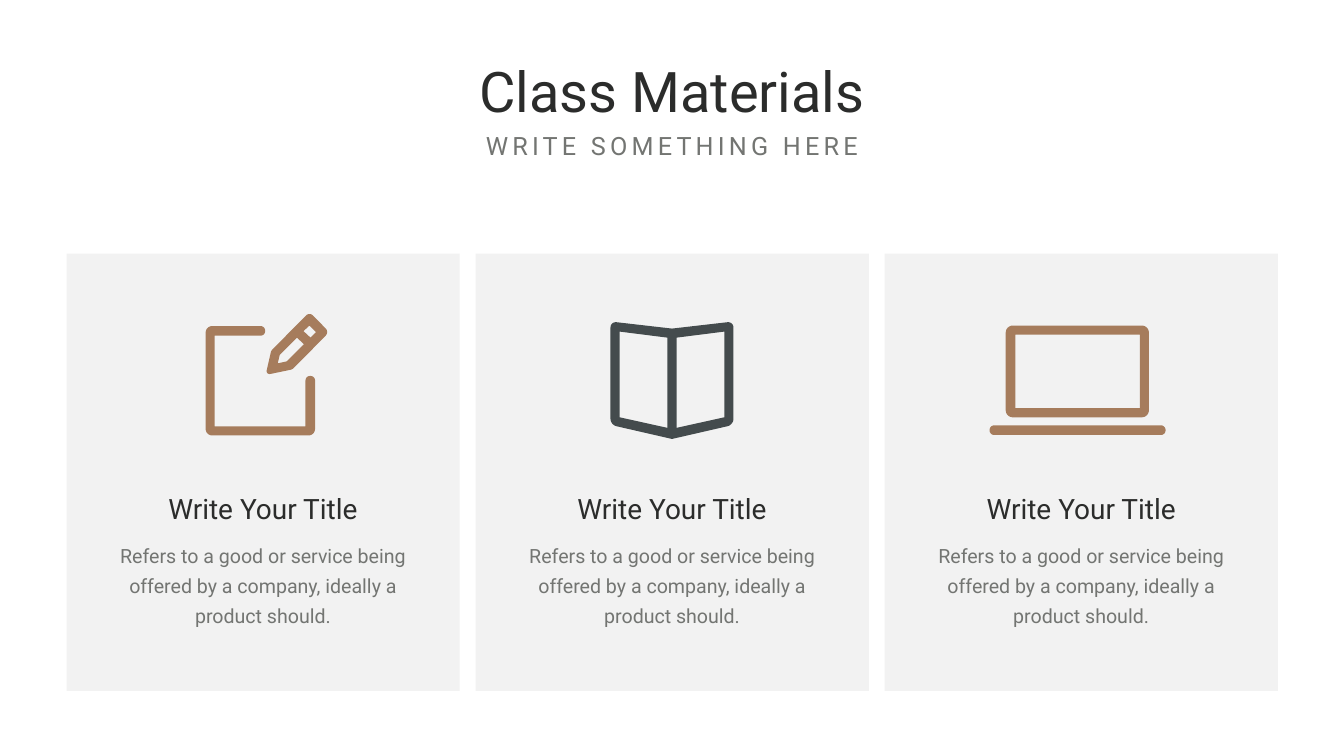
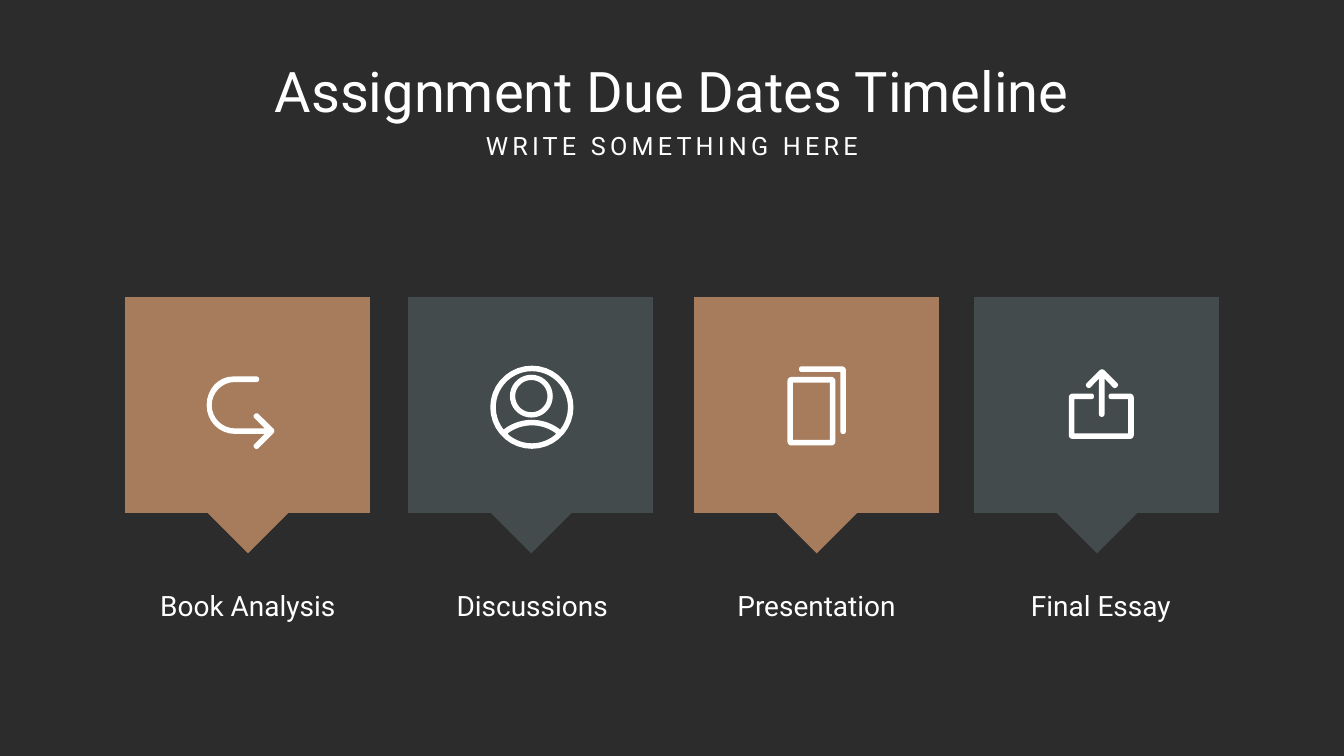
from math import cos, dist, radians, sin

from lxml.etree import SubElement
from pptx import Presentation
from pptx.dml.color import RGBColor
from pptx.enum.shapes import MSO_SHAPE
from pptx.enum.text import MSO_AUTO_SIZE, PP_ALIGN
from pptx.oxml.ns import qn
from pptx.util import Cm, Pt

FONT = "Roboto"
INK, GREY, WHITE = "2B2C2B", "737572", "FFFFFF"
BROWN, SLATE, PALE = "A67C5C", "444B4D", "808080"
WIDE, HIGH = 26.66, 15


def size(inch):
    """Turn inches on the slide into a Cm length."""
    return Cm(inch * 2.54)


def tint(code):
    """Turn a hex string into a colour."""
    return RGBColor.from_string(code)


def write(frame, text, points=40, color=INK, gap=0, lead=None, above=None):
    """Put one centred paragraph into a text frame."""
    para = frame.paragraphs[0]
    para.alignment = PP_ALIGN.CENTER
    if lead:
        para.line_spacing = Pt(lead)
    if above:
        para.space_before = Pt(above)
    run = para.add_run()
    run.text = text
    run.font.name, run.font.size = FONT, Pt(points)
    run.font.color.rgb = tint(color)
    if gap:
        run.font._element.set("spc", str(gap * 100))


def box(left, top, right, bottom, bend=0):
    """Give the corners of a box, each with its bend radius."""
    return [(left, top, bend), (right, top, bend),
            (right, bottom, bend), (left, bottom, bend)]


def arc(x, y, reach, start=0, end=360):
    """Give points along an arc, with angles in degrees."""
    turns = [radians(start + (end - start) * i / 36) for i in range(37)]
    return [(x + reach * cos(a), y + reach * sin(a)) for a in turns]


def toward(spot, goal, part):
    """Move from one point part of the way to another."""
    return tuple(s + (g - s) * part for s, g in zip(spot, goal))


def soften(ring):
    """Replace each corner that has a bend radius with a curve."""
    points = []
    for i, (x, y, *bend) in enumerate(ring):
        spot = (x, y)
        if not bend or not bend[0]:
            points.append(spot)
            continue
        ends = []
        for near in (ring[i - 1][:2], ring[(i + 1) % len(ring)][:2]):
            ends.append(toward(spot, near, min(bend[0] / dist(spot, near), 0.5)))
        first, last = ends
        pulls = [toward(end, spot, 0.55) for end in ends]
        for t in (j / 8 for j in range(9)):
            a, b = toward(first, pulls[0], t), toward(pulls[0], pulls[1], t)
            c = toward(pulls[1], last, t)
            points.append(toward(toward(a, b, t), toward(b, c, t), t))
    return points


class Deck:
    """Hold the style and the current slide."""

    def __init__(self):
        """Start an empty deck."""
        self.show = Presentation()
        self.show.slide_width, self.show.slide_height = size(WIDE), size(HIGH)

    def page(self):
        """Add a blank slide."""
        self.shapes = self.show.slides.add_slide(self.show.slide_layouts[6]).shapes

    def paint(self, shape, color):
        """Give a shape a flat fill with no line or shadow."""
        shape.shadow.inherit = False
        shape.fill.solid()
        shape.fill.fore_color.rgb = tint(color)
        shape.line.fill.background()

    def panel(self, x, y, width, height, color, alpha=100):
        """Draw a plain rectangle."""
        shape = self.shapes.add_shape(
            MSO_SHAPE.RECTANGLE, size(x), size(y), size(width), size(height))
        self.paint(shape, color)
        if alpha < 100:
            fill = next(shape._element.spPr.iter(qn("a:srgbClr")))
            SubElement(fill, qn("a:alpha")).set("val", str(alpha * 1000))

    def label(self, x, y, width, height, text, inset=None, **style):
        """Add a text box that grows with its text."""
        frame = self.shapes.add_textbox(
            size(x), size(y), size(width), size(height)).text_frame
        frame.word_wrap = True
        frame.auto_size = MSO_AUTO_SIZE.SHAPE_TO_FIT_TEXT
        if inset:
            frame.margin_left = frame.margin_right = size(inset)
            frame.margin_top = frame.margin_bottom = size(inset / 2)
        write(frame, text, **style)

    def head(self, title, width, color, second):
        """Add the title and the line below it."""
        self.label((WIDE - width) / 2, 1.08, width, 1.45, title,
                   points=80, color=color)
        self.label(9.26, 2.54, 8.14, 0.71, "WRITE SOMETHING HERE",
                   points=36, color=second, gap=6)

    def form(self, color, *rings):
        """Draw one filled outline; inner rings become holes."""
        build = None
        for ring in rings:
            points = [(size(x), size(y)) for x, y in soften(ring)]
            if build is None:
                build = self.shapes.build_freeform(*points[0], scale=1.0)
            else:
                build.move_to(*points[0])
            build.add_line_segments(points[1:], close=True)
        self.paint(build.convert_to_shape(), color)

    def card(self, x):
        """Add a pale card with its title and text."""
        self.panel(x, 5.03, 7.8, 8.68, PALE, alpha=10)
        self.label(x + 0.8, 10.54, 6.19, 2,
                   "Refers to a good or service being offered by a company, "
                   "ideally a product should.",
                   inset=0.24, points=28, color=GREY, lead=43, above=5.6)
        self.label(x + 1.49, 9.71, 4.81, 0.77, "Write Your Title")

    def step(self, x, color):
        """Add a timeline block with its pointer."""
        self.form(color, box(x, 5.9, x + 4.86, 10.17))
        self.form(color, [(x + 3.99, 9.43), (x + 2.44, 10.98), (x + 0.87, 9.41)])

    def pencil(self):
        """Draw a sheet with a pencil."""
        self.form(BROWN, [
            (6.06, 7.46, 0.09), (6.06, 8.46), (4.26, 8.46), (4.26, 6.66),
            (5.26, 6.66, 0.09), (5.26, 6.47, 0.09), (4.08, 6.47, 0.13),
            (4.08, 8.64, 0.13), (6.25, 8.64, 0.13), (6.25, 7.46, 0.09)])
        self.form(
            BROWN,
            [(6.14, 6.19, 0.1), (6.53, 6.59, 0.1), (5.8, 7.33, 0.04),
             (5.27, 7.44, 0.1), (5.38, 6.96, 0.03)],
            [(6.16, 6.7), (6.02, 6.57), (6.14, 6.46), (6.27, 6.59)],
            [(5.69, 7.17), (5.51, 7.21), (5.55, 7.04), (5.89, 6.7), (6.03, 6.83)])

    def book(self):
        """Draw an open book."""
        leaf = [(12.29, 6.58), (13.24, 6.7), (13.24, 8.49), (12.29, 8.28)]
        self.form(
            SLATE,
            [(12.11, 6.38, 0.12), (13.33, 6.52), (14.55, 6.38, 0.12),
             (14.55, 8.43, 0.12), (13.33, 8.71), (12.11, 8.43, 0.12)],
            leaf, [(26.66 - x, y) for x, y in leaf])

    def laptop(self):
        """Draw a laptop."""
        self.form(BROWN, box(19.95, 6.46, 22.79, 8.28, 0.14),
                  box(20.14, 6.64, 22.61, 8.1))
        self.form(BROWN, box(19.63, 8.44, 23.12, 8.63, 0.09))

    def person(self):
        """Draw a head and shoulders in a circle."""
        x, y, low = 10.55, 8.08, 9.24
        self.form(
            WHITE, arc(x, y, 0.825),
            arc(x, y, 0.715, 142, 398) + arc(x, low, 0.91, -51, -129),
            arc(x, y, 0.715, 48, 132) + arc(x, low, 0.8, 234, 306))
        self.form(WHITE, arc(10.54, 7.86, 0.425), arc(10.54, 7.86, 0.32))

    def share(self):
        """Draw a tray with an arrow going up."""
        self.form(WHITE, [
            (21.99, 7.81, 0.05), (22.49, 7.81, 0.08), (22.49, 8.71, 0.08),
            (21.2, 8.71, 0.08), (21.2, 7.81, 0.08), (21.7, 7.81, 0.05),
            (21.7, 7.92, 0.05), (21.31, 7.92), (21.31, 8.6), (22.38, 8.6),
            (22.38, 7.92), (21.99, 7.92, 0.05)])
        self.form(WHITE, [
            (21.86, 7.3, 0.07), (22.2, 7.64, 0.05), (22.11, 7.72, 0.05),
            (21.91, 7.51), (21.91, 8.27, 0.05), (21.8, 8.27, 0.05),
            (21.8, 7.51), (21.6, 7.72, 0.05), (21.52, 7.64, 0.05)])

    def pages(self):
        """Draw a sheet with another behind it."""
        self.form(WHITE, box(15.62, 7.48, 16.57, 8.84, 0.08),
                  box(15.73, 7.59, 16.46, 8.73))
        self.form(WHITE, [
            (16.67, 7.38), (15.85, 7.38, 0.05), (15.85, 7.27, 0.05),
            (16.78, 7.27, 0.08), (16.78, 8.61, 0.05), (16.67, 8.61, 0.05)])

    def back(self):
        """Draw an arrow that turns around."""
        self.form(WHITE, [
            (5.14, 7.58, 0.05), (4.2, 7.58, 0.46), (4.2, 8.5, 0.46),
            (5.25, 8.5), (5.01, 8.26, 0.05), (5.09, 8.18, 0.05),
            (5.47, 8.55, 0.07), (5.09, 8.93, 0.05), (5.01, 8.85, 0.05),
            (5.25, 8.61), (4.1, 8.61, 0.56), (4.1, 7.47, 0.56),
            (5.14, 7.47, 0.05)])


def main():
    """Build both slides and save them."""
    deck = Deck()
    deck.page()
    deck.head("Class Materials", 12.05, INK, GREY)
    for i in range(3):
        deck.card(1.32 + 8.115 * i)
    deck.pencil()
    deck.book()
    deck.laptop()

    deck.page()
    deck.panel(0, 0, WIDE, HIGH, INK)
    deck.head("Assignment Due Dates Timeline", 17.85, WHITE, WHITE)
    for i, x in enumerate((2.48, 8.1, 13.76, 19.32)):
        deck.step(x, (BROWN, SLATE)[i % 2])
    deck.person()
    deck.share()
    deck.pages()
    deck.back()
    names = ("Book Analysis", "Discussions", "Presentation", "Final Essay")
    for i, name in enumerate(names):
        deck.label(2.66 + 5.64 * i, 11.62, 4.51, 0.77, name, color=WHITE)
    deck.show.save("out.pptx")


main()
